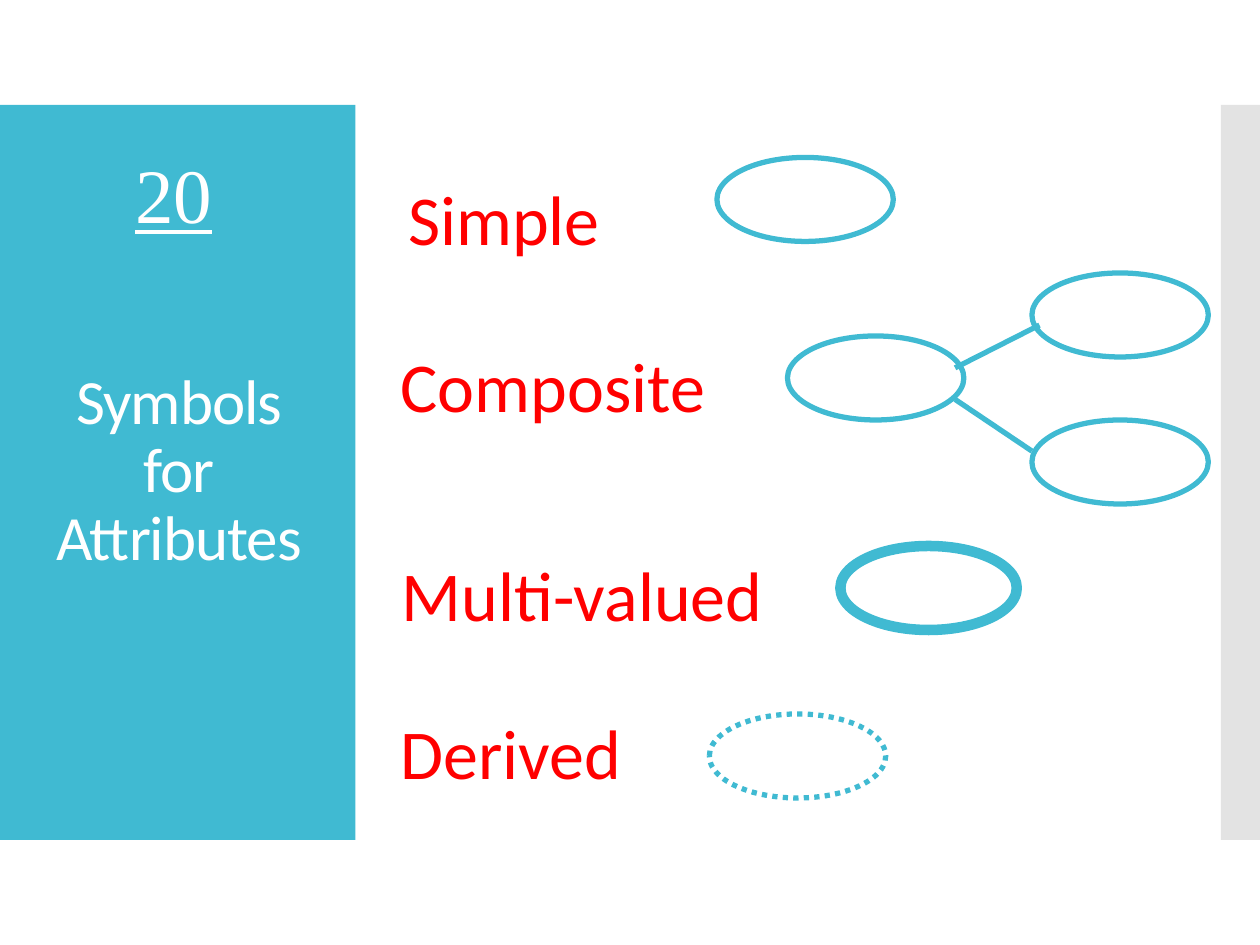
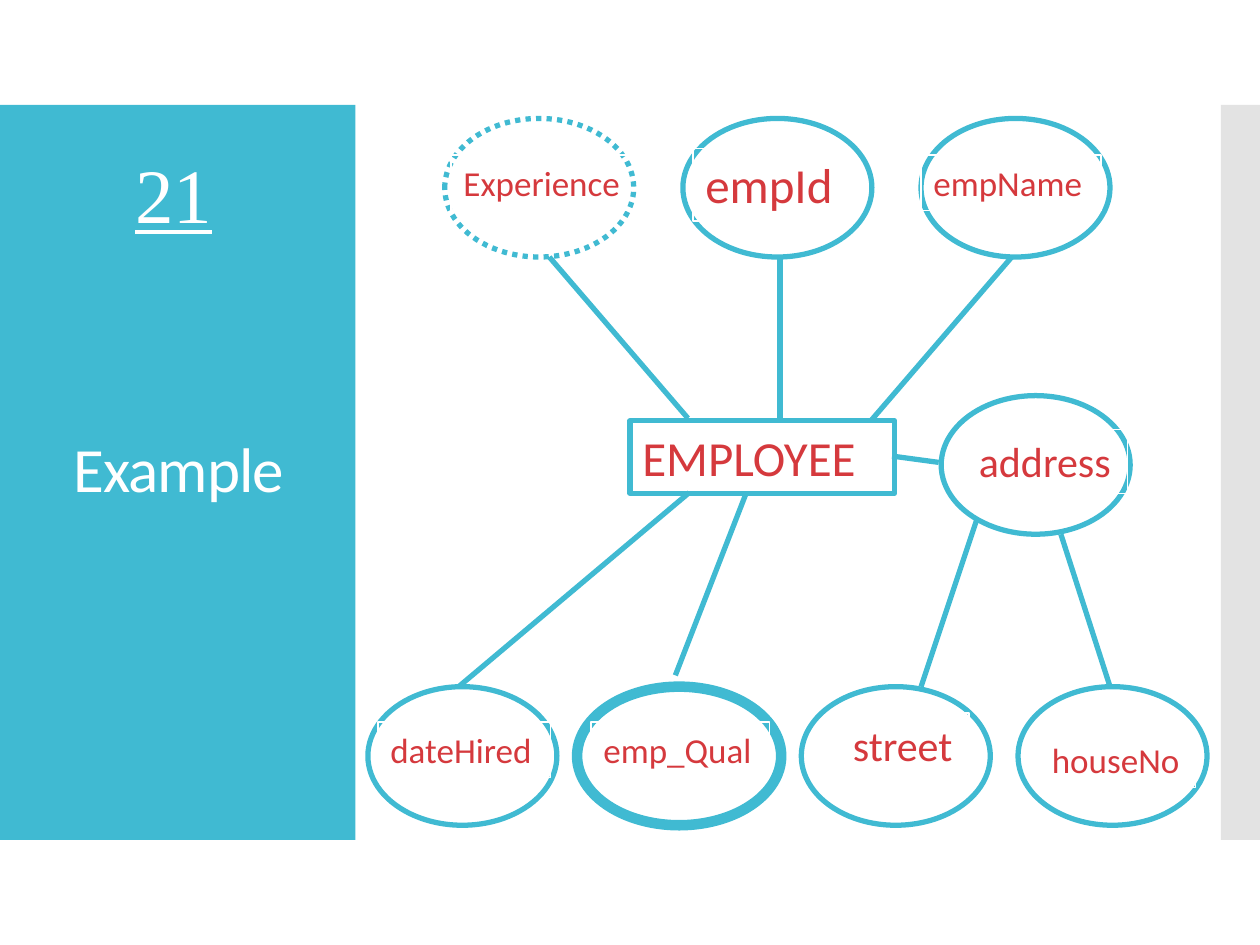
from lxml.etree import SubElement
from pptx import Presentation
from pptx.dml.color import RGBColor
from pptx.enum.dml import MSO_LINE
from pptx.enum.shapes import MSO_CONNECTOR, MSO_SHAPE
from pptx.enum.text import MSO_ANCHOR, MSO_AUTO_SIZE, PP_ALIGN
from pptx.oxml.ns import qn
from pptx.util import Inches, Pt

CELL = Inches(0.1)  # the slide is a grid of 100 columns by 75 rows
COLUMNS, ROWS = 100, 75
BAND_TOP, BAND_ROWS = 8.33, 58.33

TEAL = RGBColor(0x40, 0xBA, 0xD2)
GREY = RGBColor(0xC8, 0xC8, 0xC8)
WHITE = RGBColor(0xFF, 0xFF, 0xFF)
RED = RGBColor(0xFF, 0x00, 0x00)
CRIMSON = RGBColor(0xD5, 0x39, 0x3D)
BODY_FONT, NUMBER_FONT = "Calibri", "Times New Roman"

LINE, THICK_LINE, HAIRLINE = 3, 6, 0.75
SYMBOL_SIZE = (14, 6.67)
ATTRIBUTE_SIZE = (15, 11)
MULTI_VALUED_SIZE = (16.2, 11)


def cells(*counts):
    """Turn grid counts into lengths."""
    return [int(CELL * count) for count in counts]


def set_font(paragraph, size, color, name=BODY_FONT):
    font = paragraph.font
    font.name, font.size, font.color.rgb = name, Pt(size), color


def set_line(shape, width, color=TEAL, dash=None):
    shape.line.color.rgb = color
    shape.line.width = Pt(width)
    if dash:
        shape.line.dash_style = dash


def add_band(page, layout, left, columns, color, opacity=None):
    """Draw a side band and move it to the back of the layout."""
    band = page.shapes.add_shape(
        MSO_SHAPE.RECTANGLE, *cells(left, BAND_TOP, columns, BAND_ROWS))
    band.shadow.inherit = False
    band.fill.solid()
    band.fill.fore_color.rgb = color
    band.line.fill.background()
    if opacity:
        tint = band.element.spPr.find(".//" + qn("a:srgbClr"))
        SubElement(tint, qn("a:alpha")).set("val", str(opacity * 1000))
    layout.shapes.element.insert(2, band.element)


def add_title(page, text):
    title = page.shapes.title
    title.left, title.top, title.width, title.height = cells(2.1, 12.3, 24.2, 50.3)
    frame = title.text_frame
    frame.text = text
    frame.auto_size = MSO_AUTO_SIZE.NONE
    frame.vertical_anchor = MSO_ANCHOR.MIDDLE
    paragraph = frame.paragraphs[0]
    paragraph.alignment = PP_ALIGN.CENTER
    paragraph.line_spacing = 0.9
    set_font(paragraph, 36, WHITE)
    paragraph.runs[0]._r.get_or_add_rPr().set("spc", "-60")


def add_page_number(page, number):
    box = page.shapes.add_textbox(*cells(7.5, 13.3, 12.6, 4))
    frame = box.text_frame
    frame.word_wrap = True
    frame.vertical_anchor = MSO_ANCHOR.MIDDLE
    frame.text = str(number)
    paragraph = frame.paragraphs[0]
    paragraph.alignment = PP_ALIGN.CENTER
    set_font(paragraph, 44, WHITE, NUMBER_FONT)
    paragraph.font.underline = True


def add_page(deck, layout, number, title):
    page = deck.slides.add_slide(layout)
    add_title(page, title)
    add_page_number(page, number)
    return page


def add_ellipse(page, center, middle, size, width=LINE, dash=None):
    columns, rows = size
    ellipse = page.shapes.add_shape(
        MSO_SHAPE.OVAL,
        *cells(center - columns / 2, middle - rows / 2, columns, rows))
    ellipse.shadow.inherit = False
    ellipse.fill.background()
    set_line(ellipse, width, dash=dash)


def add_label(page, text, left, top, columns, size, color,
              spacing=None, outline=WHITE, width=HAIRLINE):
    rows = size * 1.22 * (spacing or 1) / 7.2 + 1
    box = page.shapes.add_textbox(*cells(left, top, columns, rows))
    set_line(box, width, outline)
    frame = box.text_frame
    frame.text = text
    frame.word_wrap = spacing is not None
    frame.auto_size = MSO_AUTO_SIZE.SHAPE_TO_FIT_TEXT
    paragraph = frame.paragraphs[0]
    if spacing:
        paragraph.line_spacing = spacing
    set_font(paragraph, size, color)


def add_link(page, start, end):
    link = page.shapes.add_connector(MSO_CONNECTOR.STRAIGHT, *cells(*start, *end))
    set_line(link, LINE)
    SubElement(link.element.spPr, qn("a:effectLst"))


def fill_symbols_page(page):
    symbols = [
        (63.9, 15.83, LINE, None),
        (69.5, 30, LINE, None),
        (88.9, 25, LINE, None),
        (88.9, 36.67, LINE, None),
        (73.7, 46.67, THICK_LINE, None),
        (63.3, 60, LINE, MSO_LINE.ROUND_DOT),
    ]
    for center, middle, width, dash in symbols:
        add_ellipse(page, center, middle, SYMBOL_SIZE, width, dash)

    add_link(page, (75.8, 29.2), (82.5, 25.8))
    add_link(page, (75.8, 31.7), (81.9, 35.8))

    names = [
        ("Simple", 31.4, 10.8, 20.6, 1.4),
        ("Composite", 30.8, 26.7, 27.2, None),
        ("Multi-valued", 30.9, 43.3, 31.3, None),
        ("Derived", 30.8, 55.8, 20.1, None),
    ]
    for name, left, top, columns, spacing in names:
        add_label(page, name, left, top, columns, 40, RED, spacing)


def fill_example_page(page):
    add_label(page, "EMPLOYEE", 50, 33.4, 21, 28, CRIMSON, outline=TEAL, width=LINE)

    top_centers = [42.8 + 18.9 * step for step in range(3)]
    bottom_centers = [36.7 + 17.2 * step for step in range(4)]
    top_middle, bottom_middle = 14.9, 60

    add_ellipse(page, top_centers[0], top_middle, ATTRIBUTE_SIZE,
                dash=MSO_LINE.ROUND_DOT)
    for center in top_centers[1:]:
        add_ellipse(page, center, top_middle, ATTRIBUTE_SIZE)
    for step, center in enumerate(bottom_centers):
        if step == 1:
            add_ellipse(page, center, bottom_middle, MULTI_VALUED_SIZE, THICK_LINE)
        else:
            add_ellipse(page, center, bottom_middle, ATTRIBUTE_SIZE)
    add_ellipse(page, 82.2, 36.9, ATTRIBUTE_SIZE)

    attributes = [
        ("Experience", 35.8, 12.3, 14.8, 20),
        ("empId", 55, 11.8, 12.4, 28),
        ("empName", 73.1, 12.3, 14.3, 20),
        ("address", 76.7, 34.1, 12.8, 24),
        ("dateHired", 30, 57.3, 13.7, 20),
        ("emp_Qual", 46.9, 57.3, 14.2, 20),
        ("street", 66.7, 56.6, 10.2, 24),
        ("houseNo", 82.5, 58.1, 12.4, 20),
    ]
    for name, left, top, columns, size in attributes:
        add_label(page, name, left, top, columns, size, CRIMSON)

    links = [
        ((54.7, 39.1), (36.4, 54.5)),
        ((59.2, 39.2), (53.6, 53.6)),
        ((84.2, 42.4), (88.1, 54.5)),
        ((77.5, 41.3), (73.1, 54.5)),
        ((74.5, 36.7), (70.8, 36.2)),
        ((80.3, 20.4), (69.2, 33.3)),
        ((61.9, 20.4), (61.9, 33.6)),
        ((43.6, 20.4), (54.6, 33.2)),
    ]
    for start, end in links:
        add_link(page, start, end)


def main():
    deck = Presentation()
    deck.slide_width, deck.slide_height = cells(COLUMNS, ROWS)
    layout = deck.slide_layouts.get_by_name("Title Only")

    symbols_page = add_page(deck, layout, 20, "Symbols for Attributes")
    add_band(symbols_page, layout, 0, 28.2, TEAL)
    add_band(symbols_page, layout, 96.9, 3.1, GREY, opacity=50)
    fill_symbols_page(symbols_page)

    fill_example_page(add_page(deck, layout, 21, "Example"))
    deck.save("out.pptx")


if __name__ == "__main__":
    main()
